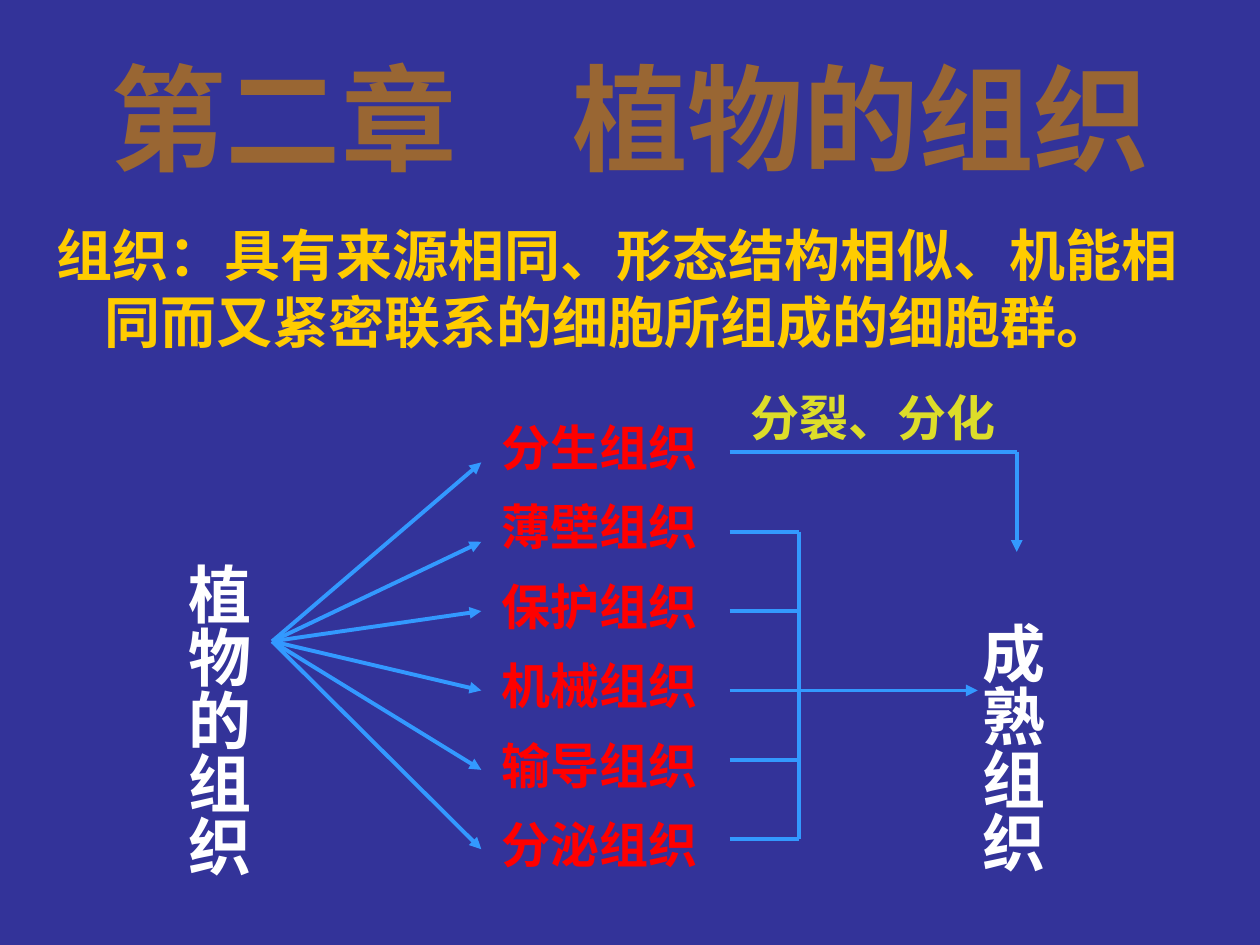
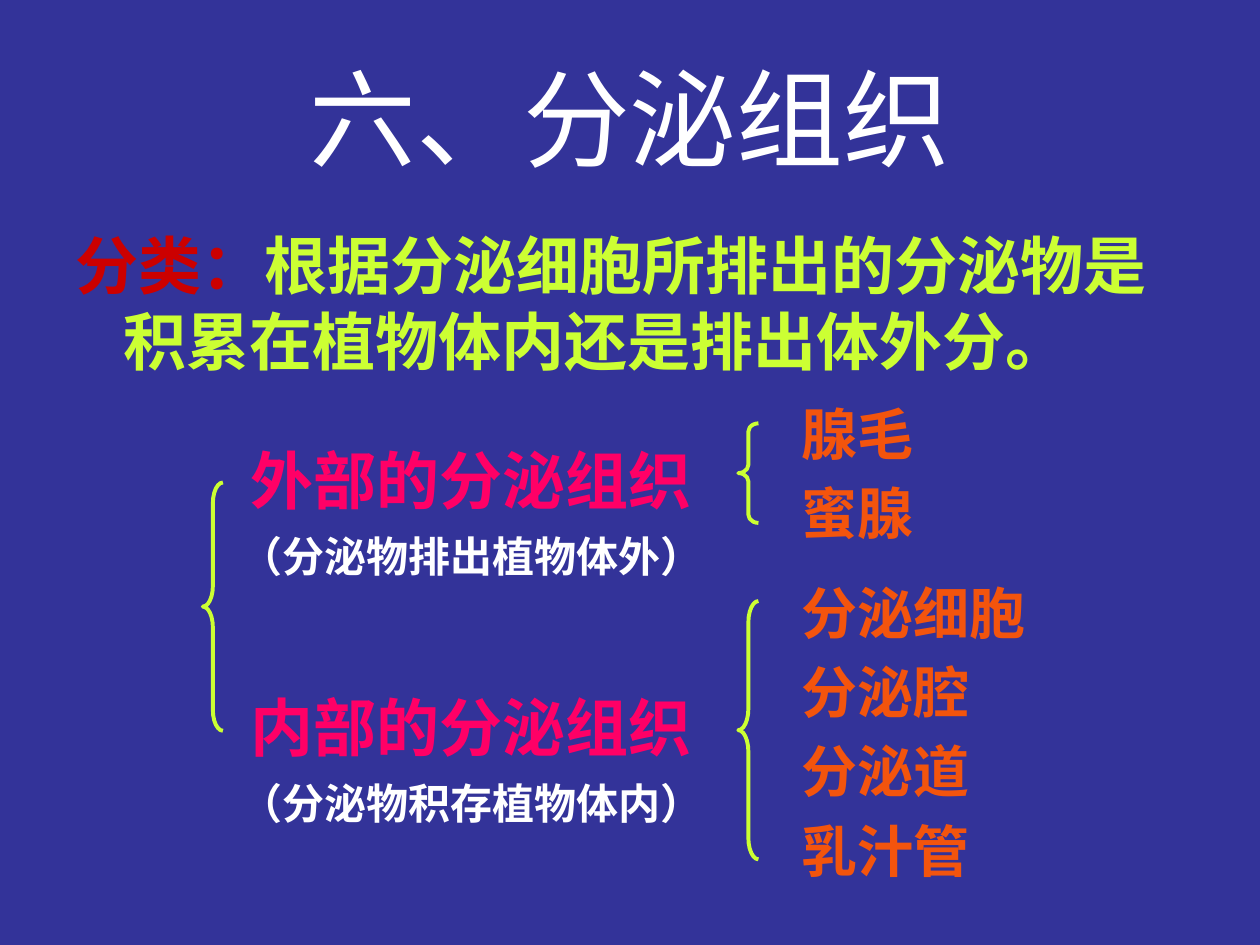
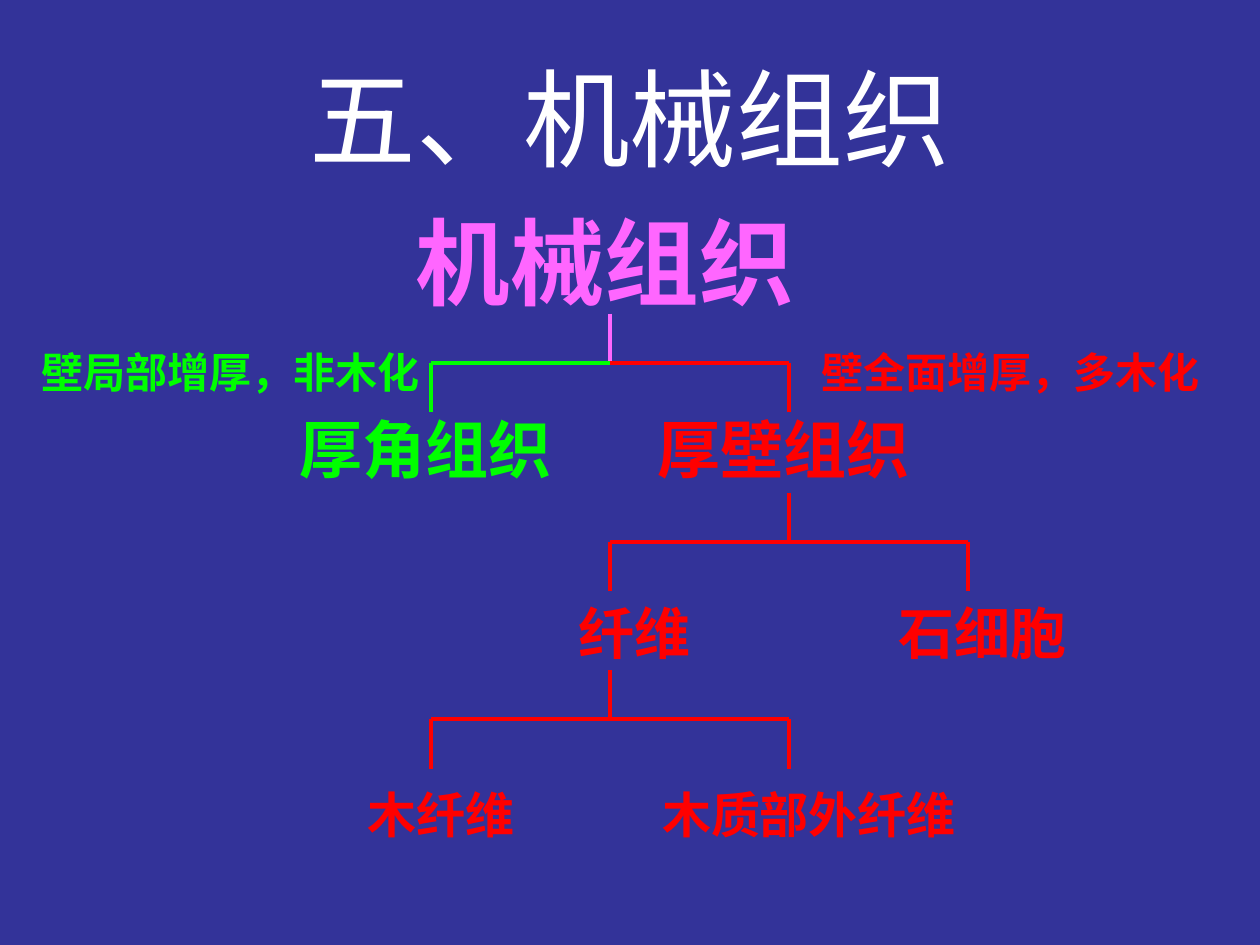
from lxml import etree
from pptx import Presentation
from pptx.dml.color import RGBColor
from pptx.enum.shapes import MSO_CONNECTOR, MSO_SHAPE
from pptx.enum.text import MSO_ANCHOR, MSO_AUTO_SIZE, PP_ALIGN
from pptx.oxml.ns import qn
from pptx.util import Inches, Pt

# Members of enumerations
LEFT, CENTER, RIGHT = PP_ALIGN.LEFT, PP_ALIGN.CENTER, PP_ALIGN.RIGHT
TOP, MIDDLE, BOTTOM = MSO_ANCHOR.TOP, MSO_ANCHOR.MIDDLE, MSO_ANCHOR.BOTTOM
NO_AUTOFIT = MSO_AUTO_SIZE.NONE
STRAIGHT, LEFT_BRACE = MSO_CONNECTOR.STRAIGHT, MSO_SHAPE.LEFT_BRACE

# Shared look
FONT = "Arial"
NAVY, WHITE, RED, BLUE = "333399", "FFFFFF", "FF0000", "3399FF"
BROWN, GOLD, YELLOW, DARK_RED = "996633", "FFCC00", "DDDD29", "CC0000"
LIME, PINK, ORANGE = "CCFF33", "FF0066", "F3540D"
VIOLET, GREEN = "FF66FF", "00FF00"
LINE_WIDTH = Pt(2.25)
HANGING = Inches(0.38)

# Grid: 10 columns by 7.5 rows
SLIDE_W, SLIDE_H = Inches(10), Inches(7.5)
COL, ROW = SLIDE_W / 10, SLIDE_H / 7.5
TITLE_AREA = (0.5, 0.3, 9, 1.25)
LIST_STEP = 0.63


def rgb(hex_colour):
    return RGBColor.from_string(hex_colour)


def place(column, row, width, height):
    return [round(v) for v in (column * COL, row * ROW, width * COL, height * ROW)]


def write(frame, runs, size, bold=True, align=CENTER, anchor=BOTTOM,
          spacing=1.15, hanging=True):
    """Fill a frame with one paragraph of (text, colour) runs."""
    frame.auto_size = NO_AUTOFIT
    frame.vertical_anchor = anchor
    frame.margin_left = frame.margin_right = Inches(0.1)
    frame.margin_top = frame.margin_bottom = Inches(0.05)
    paragraph = frame.paragraphs[0]
    properties = paragraph._p.get_or_add_pPr()
    etree.SubElement(properties, qn("a:buNone"))
    properties.set("marL", str(HANGING if hanging else 0))
    properties.set("indent", str(-HANGING if hanging else 0))
    paragraph.alignment = align
    paragraph.line_spacing = spacing
    paragraph.space_before = Pt(0)
    for text, colour in runs:
        run = paragraph.add_run()
        run.text = text
        run.font.name = FONT
        run.font.size = Pt(size)
        run.font.bold = bold
        run.font.color.rgb = rgb(colour)
        east_asian = etree.SubElement(run._r.get_or_add_rPr(), qn("a:ea"))
        east_asian.set("typeface", FONT)


def fill_placeholder(shape, area, runs, size, **style):
    shape.left, shape.top, shape.width, shape.height = place(*area)
    write(shape.text_frame, runs, size, spacing=1.0, **style)


def add_slide(deck, layout, title, size=61, colour=WHITE, bold=False):
    slide = deck.slides.add_slide(deck.slide_layouts[layout])
    fill_placeholder(slide.shapes.title, TITLE_AREA, [(title, colour)], size,
                     bold=bold, anchor=MIDDLE, hanging=False)
    return slide


def add_definition(slide, area, runs, size):
    fill_placeholder(slide.placeholders[1], area, runs, size,
                     align=LEFT, anchor=TOP)


def add_label(slide, area, text, size, colour, **style):
    frame = slide.shapes.add_textbox(*place(*area)).text_frame
    frame.word_wrap = False
    write(frame, [(text, colour)], size, **style)
    return frame


def add_vertical_label(slide, area, text):
    frame = add_label(slide, area, text, 36, WHITE)
    frame.margin_left = frame.margin_right = Inches(0.05)
    frame.margin_top = frame.margin_bottom = Inches(0.1)
    frame._txBody.bodyPr.set("vert", "eaVert")


def add_line(slide, start, end, colour=BLUE, arrow=False):
    line = slide.shapes.add_connector(STRAIGHT, *place(*start, *end))
    line.line.color.rgb = rgb(colour)
    line.line.width = LINE_WIDTH
    if arrow:
        etree.SubElement(line.line._get_or_add_ln(), qn("a:tailEnd")).set("type", "triangle")
    etree.SubElement(line._element.spPr, qn("a:effectLst"))


def add_brace(slide, column, row, height, width=0.16):
    brace = slide.shapes.add_shape(LEFT_BRACE, *place(column, row, width, height))
    brace.adjustments[0] = height / 12 / width
    brace.shadow.inherit = False
    brace.fill.background()
    brace.line.color.rgb = rgb(LIME)
    brace.line.width = LINE_WIDTH


def add_fork(slide, column, row, stem, left, right, reach=1.42, drop=0.39):
    """Split one parent into two children, each branch in its own colour."""
    bar = row + drop
    add_line(slide, (column, row), (column, bar), stem)
    for end, colour in ((column - reach, left), (column + reach, right)):
        add_line(slide, (column, bar), (end, bar), colour)
        add_line(slide, (end, bar), (end, bar + drop), colour)


def build_overview(deck):
    slide = add_slide(deck, 1, "第二章\u3000植物的组织".replace("\u3000", "　"), 66, BROWN, True)
    add_definition(slide, (0.35, 1.7, 9.34, 1.21), [
        ("组织：具有来源相同、形态结构相似、机能相同而又紧密联系的细胞所组成的细胞群。", GOLD)], 32)

    # Root, six tissues and the mature tissue
    add_vertical_label(slide, (1.38, 3.99, 0.79, 2.28), "植物的组织")
    tissues = ["分生组织", "薄壁组织", "保护组织", "机械组织", "输导组织", "分泌组织"]
    for i, tissue in enumerate(tissues):
        add_label(slide, (3.5, 3.36 + i * LIST_STEP, 2.52, 0.47), tissue, 28, RED)
    add_vertical_label(slide, (7.68, 4.46, 0.79, 1.97), "成熟组织")

    # Arrows from the root
    for row in (3.67, 4.3, 4.85, 5.48, 6.11, 6.74):
        add_line(slide, (2.16, 5.09), (3.82, row), arrow=True)

    # Division and differentiation
    branch, trunk, mature = 5.79, 6.34, 8.07
    add_line(slide, (branch, 3.59), (mature, 3.59))
    add_line(slide, (mature, 3.59), (mature, 4.38), arrow=True)
    add_label(slide, (6.26, 3.04, 1.34, 0.47), "分裂、分化", 28, YELLOW, anchor=MIDDLE)

    # Bracket that gathers the other five tissues
    rows = (4.22, 4.85, 5.48, 6.03, 6.66)
    for row in rows:
        add_line(slide, (branch, row), (trunk, row))
    add_line(slide, (trunk, rows[0]), (trunk, rows[-1]))
    add_line(slide, (trunk, 5.48), (7.76, 5.48), arrow=True)


def build_secretory(deck):
    slide = add_slide(deck, 1, "六、分泌组织")
    add_definition(slide, (0.5, 1.75, 9, 1.37), [
        ("分类：", DARK_RED),
        ("根据分泌细胞所排出的分泌物是积累在植物体内还是排出体外分。", LIME)], 36)

    # Two classes, each with an explanation below
    classes = [(3.44, "外部的分泌组织", "（分泌物排出植物体外）"),
               (5.4, "内部的分泌组织", "（分泌物积存植物体内）")]
    for row, name, explanation in classes:
        add_label(slide, (2.24, row, 2.99, 0.71), name, 36, PINK)
        add_label(slide, (2.25, row + 0.7, 2.99, 0.52), explanation, 24, WHITE)

    # Members of each class
    members = [(3.2, BOTTOM, ["腺毛", "蜜腺"]),
               (4.54, MIDDLE, ["分泌细胞", "分泌腔", "分泌道", "乳汁管"])]
    for first_row, anchor, names in members:
        for i, name in enumerate(names):
            add_label(slide, (6.26, first_row + i * LIST_STEP, 2.05, 0.55),
                      name, 32, ORANGE, align=LEFT, anchor=anchor)

    for column, row, height in ((5.86, 3.36, 0.79), (5.86, 4.77, 2.05), (1.61, 3.83, 1.97)):
        add_brace(slide, column, row, height)


def build_mechanical(deck):
    slide = add_slide(deck, 5, "五、机械组织")

    # Levels of the tree
    add_label(slide, (3.66, 1.86, 2.28, 0.71), "机械组织", 54, VIOLET)
    nodes = [(2.24, 3.28, 2.28, "厚角组织", 36, GREEN),
             (5.08, 3.28, 2.28, "厚壁组织", 36, RED),
             (3.66, 4.7, 2.76, "纤维", 32, RED),
             (6.5, 4.7, 2.6, "石细胞", 32, RED),
             (2.24, 6.11, 2.52, "木纤维", 28, RED),
             (5.08, 6.11, 2.68, "木质部外纤维", 28, RED)]
    for column, row, width, name, size, colour in nodes:
        add_label(slide, (column, row, width, 0.63), name, size, colour)

    # Remarks on the cell walls
    add_label(slide, (6.42, 2.57, 3.15, 0.63), "壁全面增厚，多木化", 24, RED, align=LEFT)
    add_label(slide, (0, 2.57, 3.43, 0.63), "壁局部增厚，非木化", 24, GREEN, align=RIGHT)

    # Branches
    add_fork(slide, 4.84, 2.49, VIOLET, GREEN, RED)
    add_fork(slide, 6.26, 3.91, RED, RED, RED)
    add_fork(slide, 4.84, 5.32, RED, RED, RED)


def main():
    deck = Presentation()
    deck.slide_width, deck.slide_height = SLIDE_W, SLIDE_H
    background = deck.slide_master.background.fill
    background.solid()
    background.fore_color.rgb = rgb(NAVY)
    build_overview(deck)
    build_secretory(deck)
    build_mechanical(deck)
    deck.save("out.pptx")


# Connectors take begin and end points, so the grid is applied to both pairs.
if __name__ == "__main__":
    main()
